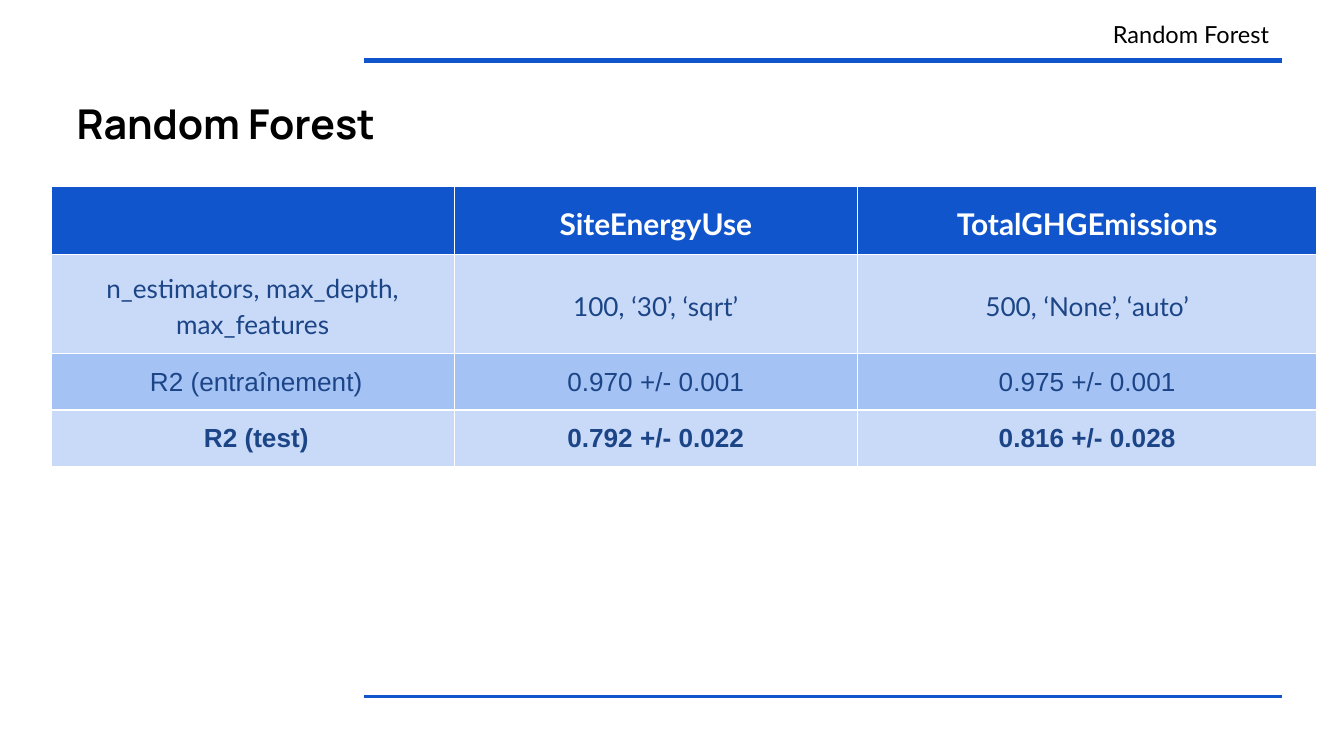
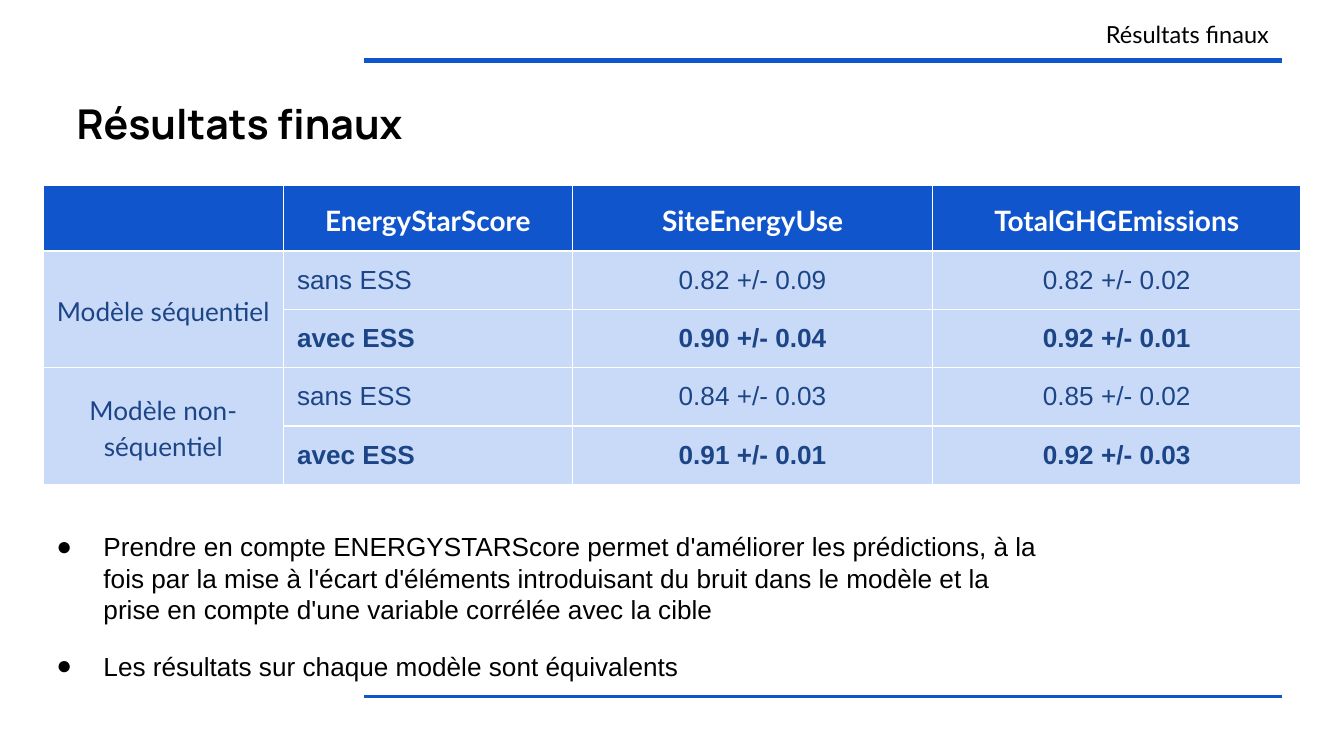
from lxml import etree
from pptx import Presentation
from pptx.dml.color import RGBColor
from pptx.enum.shapes import MSO_CONNECTOR
from pptx.enum.text import MSO_ANCHOR, MSO_AUTO_SIZE, PP_ALIGN
from pptx.oxml.ns import qn
from pptx.util import Inches, Pt

LEFT, CENTER, RIGHT = PP_ALIGN.LEFT, PP_ALIGN.CENTER, PP_ALIGN.RIGHT
TOP, MIDDLE = MSO_ANCHOR.TOP, MSO_ANCHOR.MIDDLE
NO_FIT, GROW = MSO_AUTO_SIZE.NONE, MSO_AUTO_SIZE.SHAPE_TO_FIT_TEXT
STRAIGHT = MSO_CONNECTOR.STRAIGHT

BLUE, NAVY, PALE, MEDIUM = "1155CC", "1C4587", "C9DAF8", "A4C2F4"
BLACK, WHITE = "000000", "FFFFFF"
TITLE_FONT, LABEL_FONT, BODY_FONT = "Manrope", "Lato", "Arial"
RULE_LEFT, RULE_RIGHT = 2.71, 9.54
INSET = Inches(0.1)
LABEL = dict(font=LABEL_FONT, color=NAVY, align=CENTER, line_spacing=1.15, after=12)
VALUE = dict(color=NAVY, align=CENTER)


def color_of(value):
    return RGBColor.from_string(value)


def write(paragraph, text, font=BODY_FONT, size=14, color=BLACK, bold=False,
          align=LEFT, line_spacing=1.0, before=0, after=0):
    paragraph.alignment = align
    paragraph.line_spacing = line_spacing
    paragraph.space_before = Pt(before)
    paragraph.space_after = Pt(after)
    run = paragraph.add_run()
    run.text = text
    run.font.name = font
    run.font.size = Pt(size)
    run.font.bold = bold
    run.font.color.rgb = color_of(color)


def place(shape, left, top, width, height, fit=NO_FIT):
    shape.left, shape.top = Inches(left), Inches(top)
    shape.width, shape.height = Inches(width), Inches(height)
    frame = shape.text_frame
    frame.word_wrap = True
    frame.auto_size = fit
    frame.vertical_anchor = TOP
    frame.margin_left = frame.margin_right = INSET
    frame.margin_top = frame.margin_bottom = INSET
    return frame


def add_rule(slide, y, weight):
    rule = slide.shapes.add_connector(
        STRAIGHT, Inches(RULE_LEFT), Inches(y), Inches(RULE_RIGHT), Inches(y))
    rule.line.color.rgb = color_of(BLUE)
    rule.line.width = Pt(weight)
    etree.SubElement(rule._element.spPr, qn("a:effectLst"))


def add_page(deck, layout, heading):
    slide = deck.slides.add_slide(deck.slide_layouts.get_by_name(layout))
    add_rule(slide, 0.45, 3)
    add_rule(slide, 5.18, 1.5)
    title = place(slide.shapes.title, 0.47, 0.63, 9.07, 0.69)
    write(title.paragraphs[0], heading, font=TITLE_FONT, size=22, bold=True)
    section = place(slide.shapes.add_textbox(0, 0, 0, 0),
                    RULE_LEFT, 0.05, RULE_RIGHT - RULE_LEFT, 0.33)
    write(section.paragraphs[0], heading, font=LABEL_FONT, size=12.6, align=RIGHT)
    return slide


def set_borders(cell):
    properties = cell._tc.get_or_add_tcPr()
    for side in ("lnL", "lnR", "lnT", "lnB"):
        border = etree.SubElement(properties, qn(f"a:{side}"), w=str(Pt(0.75)))
        fill = etree.SubElement(border, qn("a:solidFill"))
        etree.SubElement(fill, qn("a:srgbClr"), val=WHITE)


def fill_cell(cell, fill, text, style):
    set_borders(cell)
    cell.fill.solid()
    cell.fill.fore_color.rgb = color_of(fill)
    if text:
        cell.vertical_anchor = MIDDLE
        cell.margin_left = cell.margin_right = INSET
        cell.margin_top = cell.margin_bottom = INSET
        write(cell.text_frame.paragraphs[0], text, **style)


def add_scores(slide, left, top, widths, heights, header_size, headers, rows):
    table = slide.shapes.add_table(
        len(heights), len(widths), Inches(left), Inches(top),
        Inches(sum(widths)), Inches(sum(heights))).table
    table.first_row = table.horz_banding = False
    for column, width in zip(table.columns, widths):
        column.width = Inches(width)
    for row, height in zip(table.rows, heights):
        row.height = Inches(height)
    header_style = LABEL | dict(size=header_size, color=WHITE, bold=True)
    for column, header in enumerate(headers):
        fill_cell(table.cell(0, column), BLUE, header, header_style)
    for number, (fill, texts, styles) in enumerate(rows, 1):
        for column, (text, style) in enumerate(zip(texts, styles)):
            fill_cell(table.cell(number, column), fill, text, style)
    return table


def add_bullet(paragraph, text, **style):
    write(paragraph, text, **style)
    properties = paragraph._p.get_or_add_pPr()
    properties.set("marL", str(Inches(0.5)))
    properties.set("indent", str(Inches(-0.35)))
    bullet_color = etree.SubElement(properties, qn("a:buClr"))
    etree.SubElement(bullet_color, qn("a:srgbClr"), val=BLACK)
    etree.SubElement(properties, qn("a:buFont"), typeface=BODY_FONT)
    etree.SubElement(properties, qn("a:buChar"), char="●")


def build_random_forest(deck):
    slide = add_page(deck, "Title Only", "Random Forest")
    best = VALUE | dict(bold=True)
    add_scores(
        slide, 0.38, 1.39, [3, 3, 3.42], [0.11, 0.33, 0.26, 0.33], 16,
        ["", "SiteEnergyUse", "TotalGHGEmissions"],
        [(PALE, ["n_estimators, max_depth, max_features",
                 "100, ‘30’, ‘sqrt’", "500, ‘None’, ‘auto’"], [LABEL] * 3),
         (MEDIUM, [" R2 (entraînement)", "0.970 +/- 0.001", "0.975 +/- 0.001"],
          [VALUE] * 3),
         (PALE, [" R2 (test)", "0.792 +/- 0.022", "0.816 +/- 0.028"], [best] * 3)])


def build_final_results(deck):
    slide = add_page(deck, "Title and Content", "Résultats finaux")
    models = [
        ("Modèle séquentiel", ["0.82 +/- 0.09", "0.82 +/- 0.02"],
         ["0.90 +/- 0.04", "0.92 +/- 0.01"]),
        ("Modèle non-séquentiel", ["0.84 +/- 0.03", "0.85 +/- 0.02"],
         ["0.91 +/- 0.01", "0.92 +/- 0.03"]),
    ]
    rows = []
    for model, without_score, with_score in models:
        for name, option, scores, bold in ((model, "sans ESS", without_score, False),
                                           ("", "avec ESS", with_score, True)):
            score_style = VALUE | dict(bold=bold)
            option_style = score_style | dict(align=LEFT)
            rows.append((PALE, [name, option, *scores],
                         [LABEL, option_style, score_style, score_style]))
    table = add_scores(
        slide, 0.32, 1.38, [1.79, 2.15, 2.68, 2.74], [0.42, 0.43, 0.43, 0.43, 0.2], 15,
        ["", "EnergyStarScore", "SiteEnergyUse", "TotalGHGEmissions"], rows)
    for first in (1, 3):
        table.cell(first, 0).merge(table.cell(first + 1, 0))

    conclusions = place(slide.placeholders[1], 0.17, 3.85, 7.73, 1.3, fit=GROW)
    add_bullet(conclusions.paragraphs[0],
               "Prendre en compte ENERGYSTARScore permet d'améliorer les prédictions, "
               "à la fois par la mise à l'écart d'éléments introduisant du bruit dans "
               "le modèle et la prise en compte d'une variable corrélée avec la cible")
    add_bullet(conclusions.add_paragraph(),
               "Les résultats sur chaque modèle sont équivalents",
               line_spacing=1.15, before=11, after=10)


def main():
    deck = Presentation()
    deck.slide_width = Inches(10)
    deck.slide_height = deck.slide_width * 9 // 16
    build_random_forest(deck)
    build_final_results(deck)
    deck.save("out.pptx")


if __name__ == "__main__":
    main()
